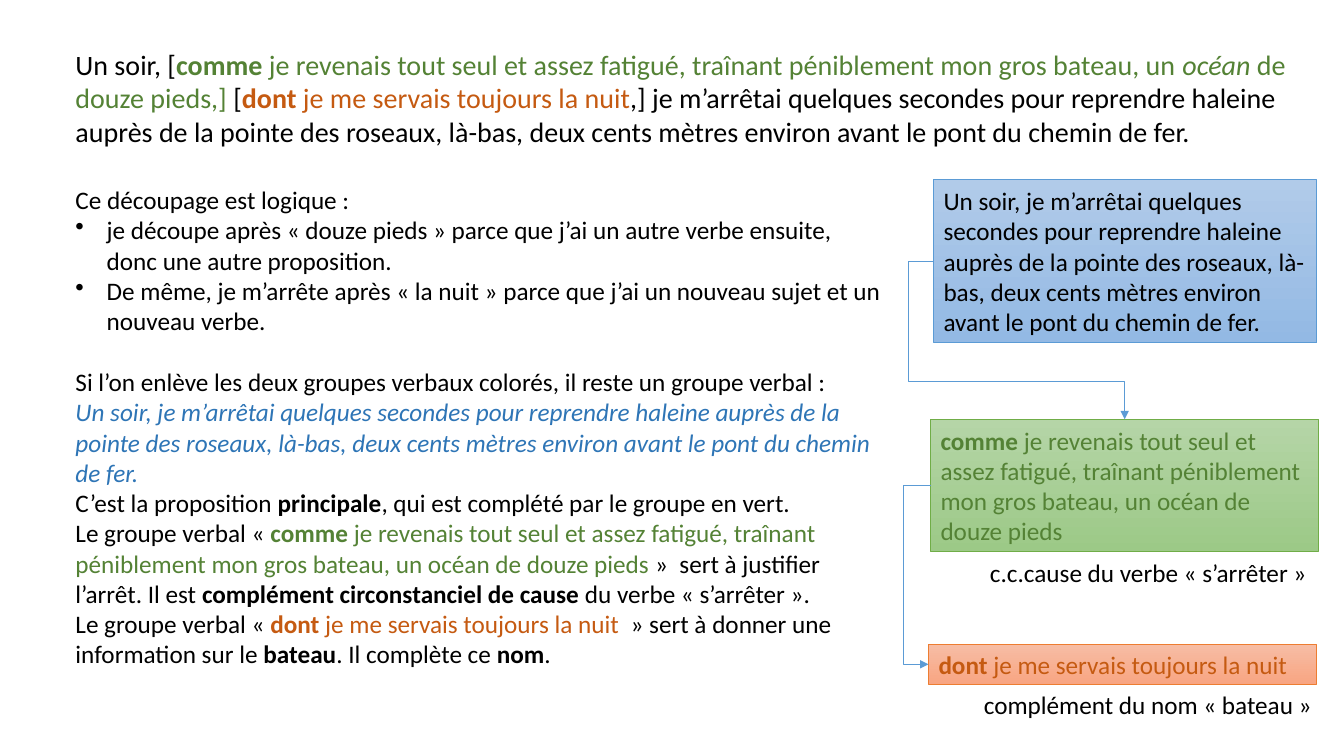
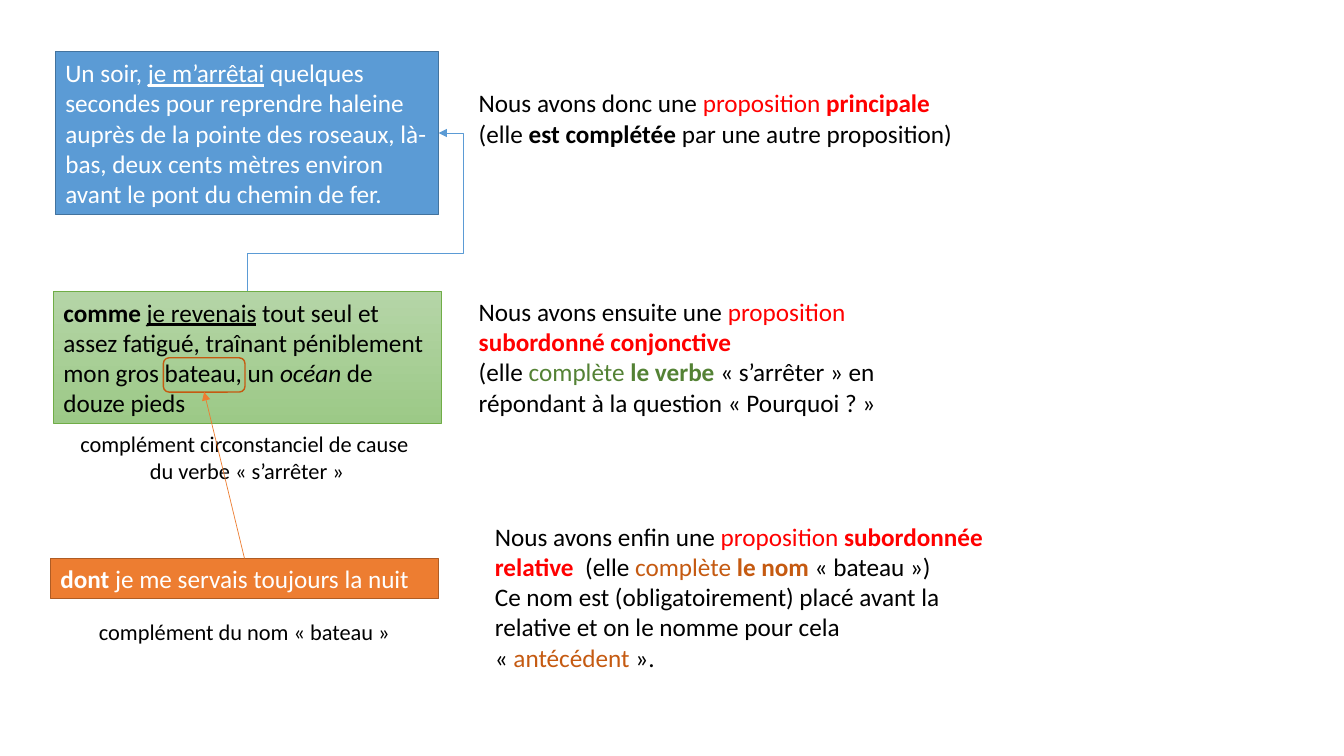
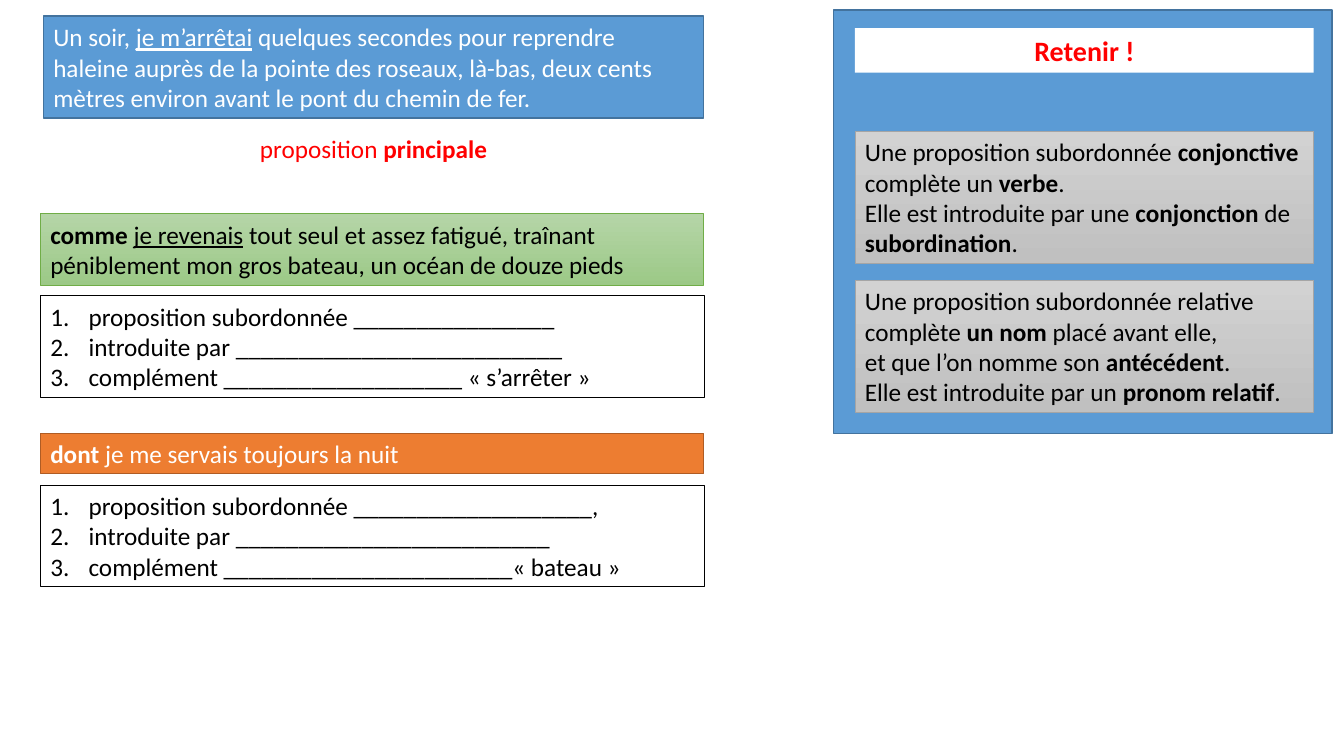
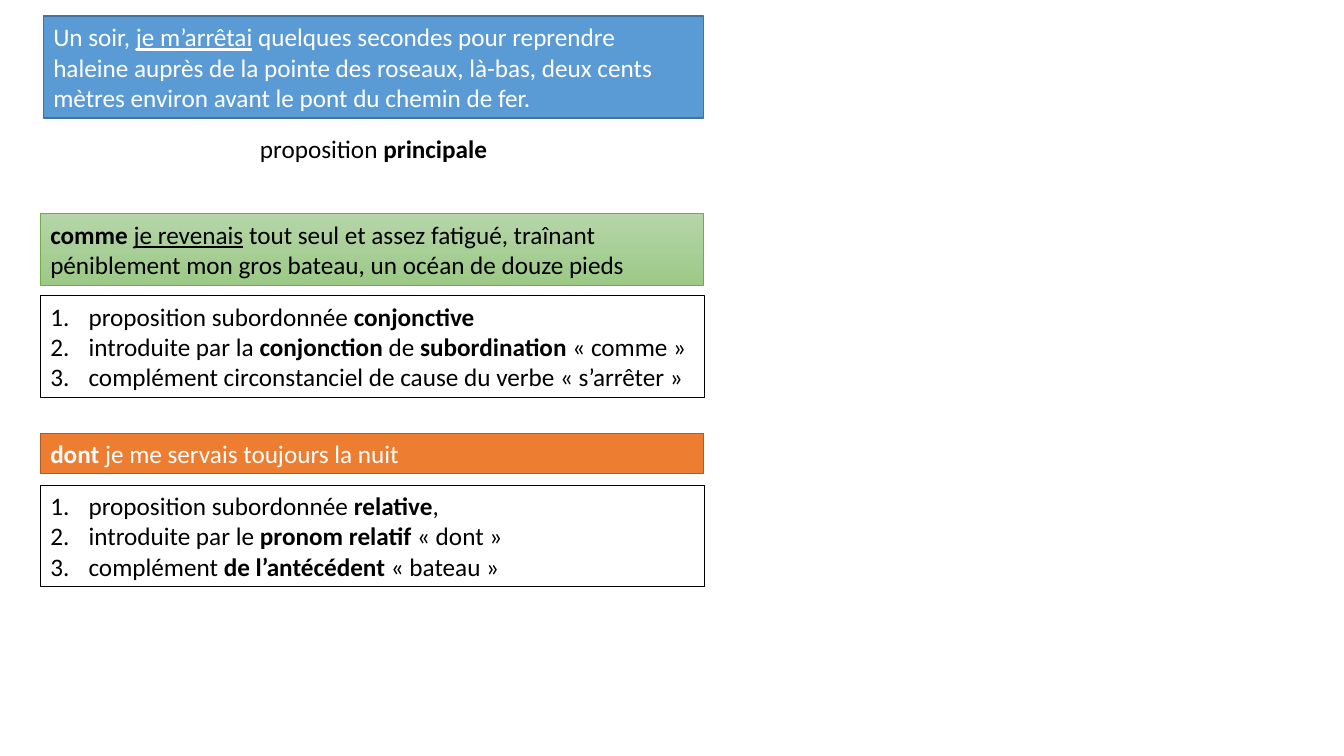
from dataclasses import dataclass

from lxml.etree import SubElement
from pptx import Presentation
from pptx.dml.color import RGBColor
from pptx.enum.shapes import MSO_CONNECTOR as Connector, MSO_SHAPE as Shape
from pptx.enum.text import MSO_ANCHOR as Anchor, PP_ALIGN as Align
from pptx.oxml.ns import qn
from pptx.util import Inches, Pt

FONT = "Calibri"
BLACK = RGBColor(0, 0, 0)
WHITE = RGBColor(0xFF, 0xFF, 0xFF)
RED = RGBColor(0xFF, 0, 0)
BLUE = RGBColor(0x5B, 0x9B, 0xD5)
BLUE_EDGE = RGBColor(0x43, 0x73, 0x9E)
BLUE_TEXT = RGBColor(0x2E, 0x75, 0xB6)
BLUE_LIGHT = RGBColor(0xB1, 0xCB, 0xE9)
BLUE_MID = RGBColor(0x93, 0xB9, 0xE4)
GREEN = RGBColor(0x70, 0xAD, 0x47)
GREEN_TEXT = RGBColor(0x54, 0x82, 0x35)
GREEN_LIGHT = RGBColor(0xB5, 0xD5, 0xA7)
GREEN_MID = RGBColor(0x9C, 0xC9, 0x87)
ORANGE = RGBColor(0xED, 0x7D, 0x31)
ORANGE_EDGE = RGBColor(0xAF, 0x5C, 0x24)
ORANGE_TEXT = RGBColor(0xC5, 0x5A, 0x11)
ORANGE_LIGHT = RGBColor(0xF7, 0xBD, 0xA5)
ORANGE_MID = RGBColor(0xF8, 0xA5, 0x82)
GREY = RGBColor(0xA5, 0xA5, 0xA5)
GREY_LIGHT = RGBColor(0xD2, 0xD2, 0xD2)
GREY_MID = RGBColor(0xC0, 0xC0, 0xC0)

TOP, LEFT, BOTTOM, RIGHT = range(4)


@dataclass(frozen=True)
class Look:
    """Fill colours (none, one, or two for a gradient), outline and text colour."""
    fill: tuple = ()
    line: RGBColor = None
    weight: float = 0.5
    text: RGBColor = BLACK


@dataclass(frozen=True)
class Run:
    """A stretch of text that differs from the rest of its paragraph."""
    text: str
    bold: bool = None
    italic: bool = None
    underline: bool = None
    color: RGBColor = None


SOFT_BLUE = Look((BLUE_LIGHT, BLUE_MID), BLUE)
SOFT_GREEN = Look((GREEN_LIGHT, GREEN_MID), GREEN)
SOFT_ORANGE = Look((ORANGE_LIGHT, ORANGE_MID), ORANGE)
SOFT_GREY = Look((GREY_LIGHT, GREY_MID), GREY)
SOLID_BLUE = Look((BLUE,), BLUE_EDGE, 1, WHITE)
SOLID_ORANGE = Look((ORANGE,), ORANGE_EDGE, 1, WHITE)
SOLID_WHITE = Look((WHITE,))
FRAME = Look((), BLACK, 0.25)
RING = Look((), ORANGE_TEXT, 1)

MAIN_END = (" quelques secondes pour reprendre haleine auprès de la pointe des roseaux, "
            "là-bas, deux cents mètres environ avant le pont du chemin de fer.")
MAIN_PLAIN = "Un soir, je m’arrêtai" + MAIN_END
MAIN = ("Un soir, ", Run("je m’arrêtai", underline=True), MAIN_END)
CAUSE_START = " tout seul et assez fatigué, traînant péniblement mon gros bateau, un "
CAUSE_PLAIN = "je revenais" + CAUSE_START + "océan de douze pieds"
CAUSE_HEAD = (Run("comme ", bold=True), Run("je revenais", underline=True))
RELATIVE_END = " je me servais toujours la nuit"
RELATIVE = (Run("dont", bold=True), RELATIVE_END)


def bold(text, color=None):
    """Return a bold run."""
    return Run(text, bold=True, color=color)


def tint(text, color):
    """Return a coloured run."""
    return Run(text, color=color)


def write(shape, paragraphs, color=BLACK, size=18, align=Align.LEFT):
    """Fill a shape with paragraphs, each a tuple of strings and runs."""
    frame = shape.text_frame
    frame.word_wrap = True
    for index, parts in enumerate(paragraphs):
        paragraph = frame.add_paragraph() if index else frame.paragraphs[0]
        paragraph.alignment = align
        paragraph.font.name = FONT
        paragraph.font.size = Pt(size)
        for part in parts:
            style = Run(part) if isinstance(part, str) else part
            run = paragraph.add_run()
            run.text = style.text
            run.font.bold = style.bold
            run.font.italic = style.italic
            run.font.underline = style.underline
            run.font.color.rgb = style.color or color


def mark(paragraphs, indent, tag, **attributes):
    """Give paragraphs a hanging indent and a bullet or number."""
    for paragraph in paragraphs:
        properties = paragraph._p.get_or_add_pPr()
        properties.set("marL", str(Inches(indent)))
        properties.set("indent", str(-Inches(indent)))
        marker = properties.makeelement(qn(tag), attributes)
        properties.insert_element_before(marker, "a:tabLst", "a:defRPr", "a:extLst")


def add_box(slide, place, look, paragraphs=(), size=18, align=Align.LEFT, preset=Shape.RECTANGLE):
    """Add a preset shape with the given look and text."""
    shape = slide.shapes.add_shape(preset, *map(Inches, place))
    shape.shadow.inherit = False
    if len(look.fill) == 2:
        shape.fill.gradient()
        shape.fill.gradient_angle = 270
        for stop, color, position in zip(shape.fill.gradient_stops, look.fill, (0, 1)):
            stop.color.rgb = color
            stop.position = position
    elif look.fill:
        shape.fill.solid()
        shape.fill.fore_color.rgb = look.fill[0]
    else:
        shape.fill.background()
    if look.line:
        shape.line.color.rgb = look.line
        shape.line.width = Pt(look.weight)
    else:
        shape.line.fill.background()
    shape.text_frame.vertical_anchor = Anchor.MIDDLE
    write(shape, paragraphs, look.text, size, align)
    return shape


def add_text(slide, place, paragraphs, **style):
    """Add a text box and return its frame."""
    shape = slide.shapes.add_textbox(*map(Inches, place))
    write(shape, paragraphs, **style)
    return shape.text_frame


def connect(slide, start, end, color, turn_x=None, turn_y=None, arrow="a:tailEnd"):
    """Join two (shape, site) ends, straight or with bends at the given turns."""
    kind = Connector.STRAIGHT if turn_x is None else Connector.ELBOW
    line = slide.shapes.add_connector(kind, 0, 0, 0, 0)
    line.begin_connect(*start)
    line.end_connect(*end)
    line.line.color.rgb = color
    line.line.width = Pt(0.5)
    SubElement(line.line._get_or_add_ln(), qn(arrow), type="triangle")
    properties = line._element.spPr
    SubElement(properties, qn("a:effectLst"))
    if turn_x is None:
        return
    turns = [(Inches(turn_x) - line.begin_x) / (line.end_x - line.begin_x)]
    if turn_y is not None:
        turns.append((Inches(turn_y) - line.begin_y) / (line.end_y - line.begin_y))
    geometry = properties.find(qn("a:prstGeom"))
    geometry.set("prst", f"bentConnector{len(turns) + 2}")
    guides = geometry.get_or_add_avLst()
    for number, turn in enumerate(turns, 1):
        SubElement(guides, qn("a:gd"), name=f"adj{number}", fmla=f"val {round(turn * 100000)}")


def add_analysis(slide, left, top, width):
    """Write the coloured sentence's explanation."""
    paragraphs = [
        ("Ce découpage est logique : ",),
        ("je découpe après «\u00a0douze pieds\u00a0» parce que j’ai un autre verbe ensuite, "
         "donc une autre proposition. ",),
        ("De même, je m’arrête après «\u00a0la nuit\u00a0» parce que j’ai un nouveau sujet "
         "et un nouveau verbe.",),
        ("Si l’on enlève les deux groupes verbaux colorés, il reste un groupe verbal : ",),
        (Run(MAIN_PLAIN, italic=True, color=BLUE_TEXT),),
        ("C’est la proposition ", bold("principale"), ", qui est complété par le groupe en vert."),
        ("Le groupe verbal «\u00a0", bold("comme ", GREEN_TEXT), tint(CAUSE_PLAIN, GREEN_TEXT),
         "\u00a0»  sert à justifier l’arrêt. Il est ", bold("complément circonstanciel de cause "),
         "du verbe «\u00a0s’arrêter\u00a0».  "),
        ("Le groupe verbal «\u00a0", bold("dont", ORANGE_TEXT),
         tint(RELATIVE_END + " ", ORANGE_TEXT), "\u00a0» sert à donner une information sur le ",
         bold("bateau"), ". Il complète ce ", bold("nom"), "."),
    ]
    lines = add_text(slide, (left, top, width, 4.95), paragraphs).paragraphs
    mark(lines[1:3], 0.31, "a:buChar", char="•")
    lines[3].space_before = Pt(22)


def add_soft_diagram(slide, left, top):
    """Stack the three clauses with elbow arrows on their left."""
    main = add_box(slide, (left + 0.05, top, 3.8, 1.62), SOFT_BLUE, [(MAIN_PLAIN,)])
    cause = add_box(slide, (left + 0.02, top + 2.38, 3.85, 1.31), SOFT_GREEN,
                    [(bold("comme", GREEN_TEXT), tint(" " + CAUSE_PLAIN, GREEN_TEXT))])
    relative = add_box(slide, (left, top + 4.61, 3.85, 0.4), SOFT_ORANGE,
                       [(bold("dont", ORANGE_TEXT), tint(RELATIVE_END, ORANGE_TEXT))])
    connect(slide, (cause, LEFT), (relative, LEFT), BLUE, left - 0.25)
    connect(slide, (main, LEFT), (cause, TOP), BLUE, left - 0.2, top + 2)
    captions = [
        ((left + 0.51, top + 3.7, 3.38, 0.4), "c.c.cause du verbe «\u00a0s’arrêter\u00a0»"),
        ((left + 0.45, top + 5.01, 3.5, 0.4), "complément du nom «\u00a0bateau\u00a0»"),
    ]
    for place, caption in captions:
        add_text(slide, place, [(caption,)]).word_wrap = False


def add_solid_diagram(slide, left, top):
    """Stack the three clauses with arrows to the words they complete."""
    main = add_box(slide, (left + 0.05, top, 3.8, 1.62), SOLID_BLUE, [MAIN])
    cause = add_box(slide, (left + 0.03, top + 2.38, 3.85, 1.31), SOFT_GREEN,
                    [(*CAUSE_HEAD, CAUSE_START, Run("océan", italic=True), " de douze pieds")])
    relative = add_box(slide, (left, top + 5.03, 3.85, 0.4), SOLID_ORANGE, [RELATIVE])
    add_text(slide, (left + 0.05, top + 3.71, 3.8, 0.64),
             [("complément circonstanciel de cause ",), ("du verbe «\u00a0s’arrêter\u00a0»",)],
             size=16, align=Align.CENTER)
    add_text(slide, (left + 0.06, top + 5.57, 3.73, 0.37),
             [("complément du nom «\u00a0bateau\u00a0»",)], size=16, align=Align.CENTER)
    noun = add_box(slide, (left + 1.12, top + 3.04, 0.81, 0.34), RING,
                   preset=Shape.ROUNDED_RECTANGLE)
    connect(slide, (relative, TOP), (noun, BOTTOM), ORANGE)
    connect(slide, (main, RIGHT), (cause, TOP), BLUE, left + 4.1, top + 2, "a:headEnd")


def add_comments(slide, left, top, width):
    """Name each clause beside the diagram."""
    proposition = tint("proposition ", RED)
    add_text(slide, (left, top, width, 1.01), [
        ("Nous avons donc une ", proposition, bold("principale", RED)),
        ("(elle ", bold("est complétée "), "par une autre proposition) "),
    ])
    add_text(slide, (left, top + 2.07, width, 1.62), [
        ("Nous avons ensuite une ", proposition, bold("subordonné\u00a0conjonctive", RED)),
        ("(elle ", tint("complète ", GREEN_TEXT), bold("le verbe ", GREEN_TEXT),
         "«\u00a0s’arrêter\u00a0» en répondant à la question «\u00a0Pourquoi\u00a0? » "),
    ])
    add_text(slide, (left + 0.16, top + 4.3, width, 1.92), [
        ("Nous avons enfin une ", proposition, bold("subordonnée relative  ", RED), "(elle ",
         tint("complète ", ORANGE_TEXT), bold("le nom ", ORANGE_TEXT), "«\u00a0bateau\u00a0»)"),
        ("Ce nom est (obligatoirement) placé avant la relative et on le nomme pour cela «\u00a0",
         tint("antécédent", ORANGE_TEXT), "\u00a0»."),
    ])


def add_exercise(slide, left, top, width, label_color, cause_answers, relative_answers):
    """Stack the clauses, each with its label or numbered answers."""
    add_box(slide, (left + 0.03, top, width - 0.03, 1.01), SOLID_BLUE, [MAIN])
    add_text(slide, (left + 0.03, top + 1.11, width - 0.03, 0.4),
             [("proposition ", bold("principale"))], color=label_color, align=Align.CENTER)
    add_box(slide, (left, top + 1.96, width, 0.71), SOFT_GREEN,
            [(*CAUSE_HEAD, CAUSE_START + "océan de douze pieds")])
    add_box(slide, (left, top + 4.14, width, 0.4), SOLID_ORANGE, [RELATIVE])
    for offset, answers in ((2.77, cause_answers), (4.65, relative_answers)):
        frame = add_box(slide, (left, top + offset, width, 1.01), FRAME, answers).text_frame
        mark(frame.paragraphs, 0.38, "a:buAutoNum", type="arabicPeriod")


def add_reminder(slide, left, top, width):
    """Add the blue panel with the two rules to remember."""
    add_box(slide, (left, top, width, 4.2), SOLID_BLUE)
    inner, inner_width = left + 0.21, width - 0.39
    add_box(slide, (inner, top + 0.18, inner_width, 0.44), SOLID_WHITE,
            [(bold("Retenir !", RED),)], size=20, align=Align.CENTER)
    add_box(slide, (inner, top + 1.2, inner_width, 1.31), SOFT_GREY, [
        ("Une proposition subordonnée ", bold("conjonctive"), " complète un ", bold("verbe"), ". "),
        ("Elle est introduite par une ", bold("conjonction"), " de ", bold("subordination"), "."),
    ])
    add_box(slide, (inner, top + 2.68, inner_width, 1.31), SOFT_GREY, [
        ("Une proposition subordonnée relative ",),
        ("complète ", bold("un nom "), "placé avant elle, "),
        ("et que l’on nomme son ", bold("antécédent"), "."),
        ("Elle est introduite par un ", bold("pronom relatif"), "."),
    ])


def build_logic(slide):
    """Show how the sentence is cut into clauses."""
    sentence = (
        "Un soir, [", bold("comme", GREEN_TEXT),
        tint(" je revenais" + CAUSE_START, GREEN_TEXT),
        Run("océan", italic=True, color=GREEN_TEXT), tint(" de douze pieds,]", GREEN_TEXT),
        " [", bold("dont", ORANGE_TEXT), tint(RELATIVE_END, ORANGE_TEXT),
        ",] je m’arrêtai" + MAIN_END)
    add_text(slide, (0.65, 0.42, 12.31, 1.11), [sentence], size=20)
    add_analysis(slide, 0.65, 1.78, 8.19)
    add_soft_diagram(slide, 9.21, 1.78)


def build_names(slide):
    """Show the clauses with their names."""
    add_solid_diagram(slide, 0.5, 0.51)
    add_comments(slide, 4.65, 0.82, 5.06)


def build_questions(slide):
    """Show the exercise to fill in and the rules."""
    cause_blanks = [
        ("proposition subordonnée " + "_" * 16,),
        ("introduite par " + "_" * 26,),
        ("complément " + "_" * 19 + " «\u00a0s’arrêter\u00a0»",),
    ]
    relative_blanks = [
        ("proposition subordonnée " + "_" * 19 + ",",),
        ("introduite par " + "_" * 25,),
        ("complément " + "_" * 23 + "«\u00a0bateau\u00a0»",),
    ]
    add_exercise(slide, 0.4, 0.16, 6.58, RED, cause_blanks, relative_blanks)
    add_reminder(slide, 8.27, 0.1, 4.94)


def build_answers(slide):
    """Show the completed exercise."""
    cause_answers = [
        ("proposition subordonnée ", bold("conjonctive")),
        ("introduite par la ", bold("conjonction"), " de ", bold("subordination"),
         " «\u00a0comme\u00a0»"),
        ("complément circonstanciel de cause du verbe «\u00a0s’arrêter\u00a0»",),
    ]
    relative_answers = [
        ("proposition subordonnée ", bold("relative"), ","),
        ("introduite par le ", bold("pronom relatif "), "«\u00a0dont\u00a0»"),
        ("complément ", bold("de l’antécédent "), "«\u00a0bateau\u00a0»"),
    ]
    add_exercise(slide, 0.4, 0.16, 6.58, BLACK, cause_answers, relative_answers)


def main():
    """Build the presentation."""
    presentation = Presentation()
    presentation.slide_width = Inches(13.33)
    presentation.slide_height = Inches(7.5)
    blank = presentation.slide_layouts[6]
    for build in (build_logic, build_names, build_questions, build_answers):
        build(presentation.slides.add_slide(blank))
    presentation.save("out.pptx")


main()
